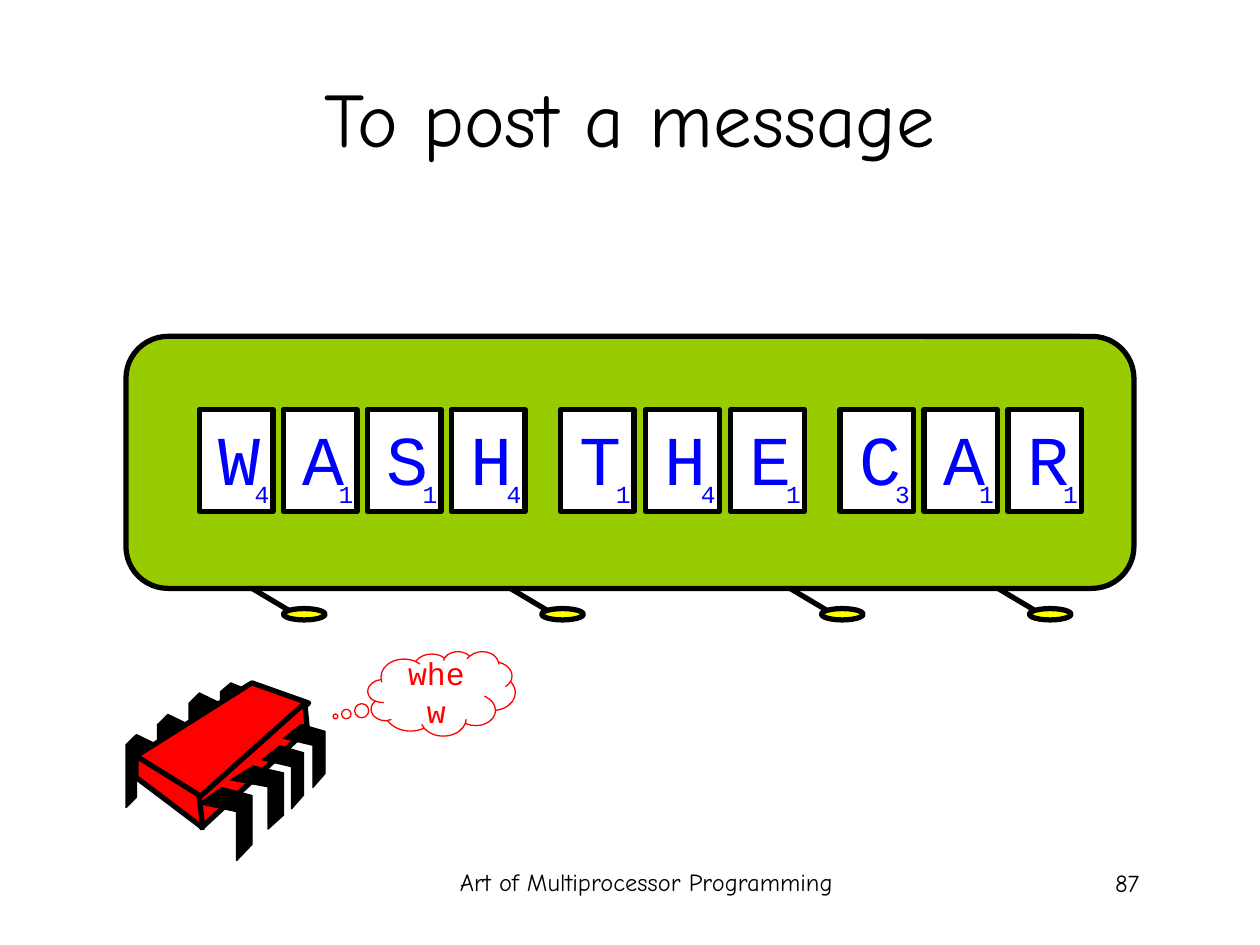
from lxml import etree
from pptx import Presentation
from pptx.dml.color import RGBColor
from pptx.enum.shapes import MSO_CONNECTOR, MSO_SHAPE
from pptx.enum.text import MSO_ANCHOR, PP_ALIGN
from pptx.oxml.ns import qn
from pptx.util import Inches, Pt

LEFT, CENTER, RIGHT = PP_ALIGN.LEFT, PP_ALIGN.CENTER, PP_ALIGN.RIGHT
TOP, MIDDLE = MSO_ANCHOR.TOP, MSO_ANCHOR.MIDDLE
RECT, ROUND = MSO_SHAPE.RECTANGLE, MSO_SHAPE.ROUNDED_RECTANGLE
OVAL, CLOUD = MSO_SHAPE.OVAL, MSO_SHAPE.CLOUD_CALLOUT
STRAIGHT = MSO_CONNECTOR.STRAIGHT

BLACK = RGBColor(0x00, 0x00, 0x00)
WHITE = RGBColor(0xFF, 0xFF, 0xFF)
GREEN = RGBColor(0x99, 0xCC, 0x00)
YELLOW = RGBColor(0xFF, 0xFF, 0x00)
RED = RGBColor(0xFF, 0x00, 0x00)
BLUE = RGBColor(0x00, 0x00, 0xFF)
SANS, MONO = "Comic Neue", "Courier New"

TITLE = "To post a message"
FOOTER = "Art of Multiprocessor Programming"
PAGE = "87"
THOUGHT = "whew"

# Left edge of each word, step between its tiles, letters with scores
WORDS = [
    (19 / 12, 2 / 3, [("W", 4), ("A", 1), ("S", 1), ("H", 4)]),
    (4.45, 0.675, [("T", 1), ("H", 4), ("E", 1)]),
    (20 / 3, 2 / 3, [("C", 3), ("A", 1), ("R", 1)]),
]
TILE_W, TILE_H = 7 / 12, 0.81
LAMPS = [2, 4.05, 6.27, 7.92]

# Leg outlines as fractions of their box, then the boxes
BACK_LEG = [(1, 0.14), (0.33, 0), (0, 0.14), (0, 1),
            (0.33, 0.86), (0.33, 0.29), (1, 0.43)]
FRONT_LEG = [(0.43, 0), (0, 0.22), (0.71, 0.33), (0.71, 1),
             (1, 0.78), (1, 0.11)]
BACK_BOXES = [(1, 5.83, 0.25, 0.58), (1.25, 5.67, 0.25, 0.58),
              (1.5, 5.5, 0.25, 0.58), (1.75, 5.42, 0.25, 0.5)]
FRONT_BOXES = [(1.58, 6.25, 0.42, 0.58), (1.83, 6.08, 0.42, 0.5),
               (2.08, 5.92, 0.33, 0.5), (2.25, 5.75, 0.33, 0.5)]
BODY = [
    [(2, 5.42), (1.08, 6), (1.6, 6.35), (2.45, 5.58)],
    [(2.42, 5.58), (1.58, 6.33), (1.6, 6.57), (2.44, 5.79)],
    [(1.08, 6), (1.08, 6.17), (1.61, 6.57), (1.58, 6.31)],
]

deck = Presentation()
deck.slide_width, deck.slide_height = Inches(10), Inches(7.5)
slide = deck.slides.add_slide(deck.slide_layouts[5])
shapes = slide.shapes


def write(shape, text, size=14, font=SANS, color=BLACK, align=LEFT,
          anchor=TOP, wrap=True):
    frame = shape.text_frame
    frame.word_wrap = wrap
    frame.vertical_anchor = anchor
    para = frame.paragraphs[0]
    para.alignment = align
    run = para.add_run()
    run.text = text
    run.font.size, run.font.name = Pt(size), font
    run.font.color.rgb = color


def paint(shape, fill, line=BLACK, width=3):
    shape.shadow.inherit = False
    if fill is None:
        shape.fill.background()
    else:
        shape.fill.solid()
        shape.fill.fore_color.rgb = fill
    shape.line.color.rgb = line
    shape.line.width = Pt(width)


def add(kind, box, fill, **style):
    shape = shapes.add_shape(kind, *map(Inches, box))
    paint(shape, fill, **style)
    return shape


def label(box, text, **style):
    write(shapes.add_textbox(*map(Inches, box)), text, **style)


def outline(group, points, fill, width):
    first, *rest = [(Inches(x), Inches(y)) for x, y in points]
    pen = group.shapes.build_freeform(*first)
    pen.add_line_segments(rest, close=True)
    paint(pen.convert_to_shape(), fill, width=width)


def legs(group, form, boxes):
    for x, y, w, h in boxes:
        points = [(x + w * u, y + h * v) for u, v in form]
        outline(group, points, BLACK, 0.75)


def tile(x, letter, score):
    card = add(RECT, (x, 3.25, TILE_W, TILE_H), WHITE)
    write(card, letter, size=40, font=MONO, color=BLUE, align=RIGHT)
    label((x + 1 / 3, 3.75, 0.32, 0.33), str(score), font=MONO,
          color=BLUE, align=RIGHT, wrap=False)


def lamp(x):
    arm = shapes.add_connector(STRAIGHT, Inches(x), Inches(4.67),
                               Inches(x + 0.42), Inches(4.92))
    arm.line.color.rgb = BLACK
    arm.line.width = Pt(3)
    etree.SubElement(arm._element.spPr, qn("a:effectLst"))
    add(OVAL, (x + 0.25, 4.83, 0.33, 0.09), YELLOW)


title = shapes.title
title.left, title.top = Inches(0.5), Inches(0.3)
title.width, title.height = Inches(9), Inches(1.25)
write(title, TITLE, size=44, align=CENTER, anchor=MIDDLE)
label((3.42, 6.83, 3.42, 0.52), FOOTER, align=CENTER)
label((7.06, 6.84, 2.08, 0.5), PAGE, align=RIGHT)

board = add(ROUND, (1, 2.67, 8, 2), GREEN)
board.adjustments[0] = 1 / 6
for x in LAMPS:
    lamp(x)
for left, step, word in WORDS:
    for i, (letter, score) in enumerate(word):
        tile(left + i * step, letter, score)

chip = shapes.add_group_shape()
legs(chip, BACK_LEG, BACK_BOXES)
for side in BODY:
    outline(chip, side, RED, 3)
legs(chip, FRONT_LEG, FRONT_BOXES)

cloud = add(CLOUD, (2.92, 5.17, 1.17, 0.67), None, line=RED, width=0.75)
cloud.adjustments[0], cloud.adjustments[1] = -0.72, 0.27
write(cloud, THOUGHT, size=18, font=MONO, color=RED, align=CENTER,
      anchor=MIDDLE)

deck.save("out.pptx")
